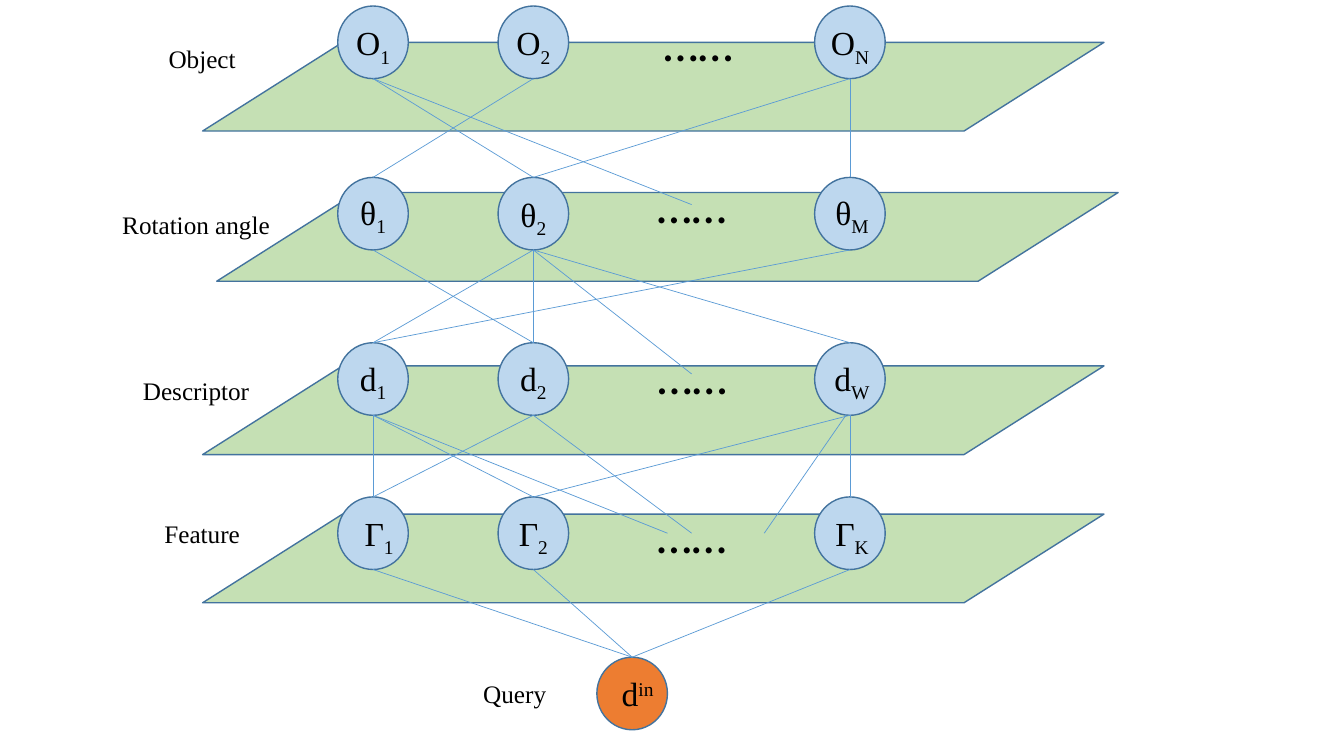
from lxml.etree import SubElement
from pptx import Presentation
from pptx.dml.color import RGBColor
from pptx.enum.shapes import MSO_CONNECTOR, MSO_SHAPE
from pptx.enum.text import MSO_AUTO_SIZE, PP_ALIGN
from pptx.oxml.ns import qn
from pptx.util import Inches, Pt

COLORS = {"plane": "C5E0B4", "node": "BDD7EE", "query": "ED7D31",
          "outline": "43739E", "link": "5B9BD5", "text": "000000"}
NODE_W, NODE_H = 0.7, 0.72
PLANE_W, PLANE_H, PLANE_SLANT = 8.94, 0.88, 1.578
SYMBOL_W, SYMBOL_H = 1.02, 0.5
COLUMNS = (3.35, 4.94, 8.08)
NODE_BOTTOM = 4  # an ellipse has eight connection sites

# Boxes are left, top, width; node_top is the top of the row of circles.
LAYERS = [
    dict(name="Object", symbol="O", indices="12N", node_top=0.06, symbol_top=0.17,
         plane=(2.01, 0.42), label=(1.31, 0.38, 1.39), dots=(6.24, 0.06, 1.37)),
    dict(name="Rotation angle", symbol="θ", indices="12M", node_top=1.76, symbol_top=1.85,
         plane=(2.15, 1.91), label=(0.96, 2.03, 1.97), dots=(6, 1.67, 1.72)),
    dict(name="Descriptor", symbol="d", indices="12W", node_top=3.4, symbol_top=3.5,
         plane=(2.01, 3.63), label=(1.28, 3.67, 1.33), dots=(6.18, 3.36, 1.37)),
    dict(name="Feature", symbol="Γ", indices="12K", node_top=4.93, symbol_top=5.04,
         plane=(2.01, 5.1), label=(1.39, 5.09, 1.23), dots=(6.14, 4.94, 1.44)),
]
SYMBOL_SHIFT = {"Γ1": (0.06, 0), "θ2": (0, 0.02), "θM": (0.02, 0),
                "dW": (0.02, 0), "ΓK": (0.02, 0)}

LINKS = [
    ("O1", "θ2"), ("O2", "θ1"), ("ON", "θ2"), ("ON", "θM"),
    ("θ1", "d2"), ("θ2", "d1"), ("θ2", "d2"), ("θ2", "dW"), ("θM", "d1"),
    ("d1", "Γ1"), ("d1", "Γ2"), ("d2", "Γ1"), ("dW", "Γ2"), ("dW", "ΓK"),
    ("Γ1", "din"), ("Γ2", "din"), ("ΓK", "din"),
]
# Links that end among the omitted nodes: upper node, end point
OPEN_LINKS = [("O1", (6.86, 2.03)), ("θ2", (6.86, 3.71)),
              ("d1", (6.62, 5.29)), ("d2", (6.86, 5.29))]


def rgb(name):
    return RGBColor.from_string(COLORS[name])


def add_text(slide, text, left, top, width, height, *, size=18,
             font="Times New Roman", script="", baseline=0):
    """Centred text, with an optional raised or lowered second run."""
    frame = slide.shapes.add_textbox(
        Inches(left), Inches(top), Inches(width), Inches(height)).text_frame
    frame.word_wrap = True
    frame.auto_size = MSO_AUTO_SIZE.SHAPE_TO_FIT_TEXT
    paragraph = frame.paragraphs[0]
    paragraph.alignment = PP_ALIGN.CENTER
    for part, offset in ((text, 0), (script, baseline)):
        if not part:
            continue
        run = paragraph.add_run()
        run.text = part
        run.font.size = Pt(size)
        run.font.name = font
        run.font.color.rgb = rgb("text")
        if offset:
            run.font._element.set("baseline", str(offset * 1000))


def add_outlined(slide, kind, left, top, width, height, fill):
    shape = slide.shapes.add_shape(
        kind, Inches(left), Inches(top), Inches(width), Inches(height))
    shape.shadow.inherit = False
    shape.fill.solid()
    shape.fill.fore_color.rgb = rgb(fill)
    shape.line.color.rgb = rgb("outline")
    shape.line.width = Pt(1)
    return shape


def add_node(slide, left, top, fill="node"):
    return add_outlined(slide, MSO_SHAPE.OVAL, left, top, NODE_W, NODE_H, fill)


def add_layer(slide, layer):
    """Draw one plane with its label and nodes; return the nodes by name."""
    plane = add_outlined(slide, MSO_SHAPE.PARALLELOGRAM, *layer["plane"],
                         PLANE_W, PLANE_H, "plane")
    plane.adjustments[0] = PLANE_SLANT
    add_text(slide, layer["name"], *layer["label"], 0.4)
    add_text(slide, "……", *layer["dots"], 0.71, size=36, font="Calibri")
    nodes = {}
    for left, index in zip(COLUMNS, layer["indices"]):
        name = layer["symbol"] + index
        nodes[name] = add_node(slide, left, layer["node_top"])
        dx, dy = SYMBOL_SHIFT.get(name, (0, 0))
        add_text(slide, layer["symbol"], left + (NODE_W - SYMBOL_W) / 2 + dx,
                 layer["symbol_top"] + dy, SYMBOL_W, SYMBOL_H,
                 size=24, script=index, baseline=-25)
    return nodes


def add_query(slide, left, top):
    add_text(slide, "Query", left - 1.51, top + 0.16, 1.39, 0.4)
    node = add_node(slide, left, top, "query")
    add_text(slide, "d", left - 0.06, top + 0.11, 0.93, SYMBOL_H,
             size=24, script="in", baseline=30)
    return node


def add_line(slide, start, end):
    line = slide.shapes.add_connector(MSO_CONNECTOR.STRAIGHT, *start, *end)
    line.line.color.rgb = rgb("link")
    line.line.width = Pt(0.5)
    SubElement(line.element.spPr, qn("a:effectLst"))
    return line


def add_link(slide, upper, lower=None, point=None):
    """Run from the bottom of a node to the top of another, or to a point."""
    start = (upper.left + upper.width // 2, upper.top + upper.height)
    end = (lower.left + lower.width // 2, lower.top) if lower else map(Inches, point)
    line = add_line(slide, start, end)
    joint = line.element.nvCxnSpPr.cNvCxnSpPr.get_or_add_stCxn()
    joint.id, joint.idx = upper.shape_id, NODE_BOTTOM
    if lower:
        line.end_connect(lower, 0)


def main():
    prs = Presentation()
    prs.slide_width, prs.slide_height = Inches(13.33), Inches(7.5)
    slide = prs.slides.add_slide(prs.slide_layouts[6])

    nodes = {}
    for layer in LAYERS:
        nodes.update(add_layer(slide, layer))
    nodes["din"] = add_query(slide, 5.92, 6.52)

    for upper, lower in LINKS:
        add_link(slide, nodes[upper], lower=nodes[lower])
    for upper, point in OPEN_LINKS:
        add_link(slide, nodes[upper], point=point)
    add_line(slide, (Inches(8.39), Inches(4.12)), (Inches(7.58), Inches(5.29)))

    prs.save("out.pptx")


if __name__ == "__main__":
    main()
